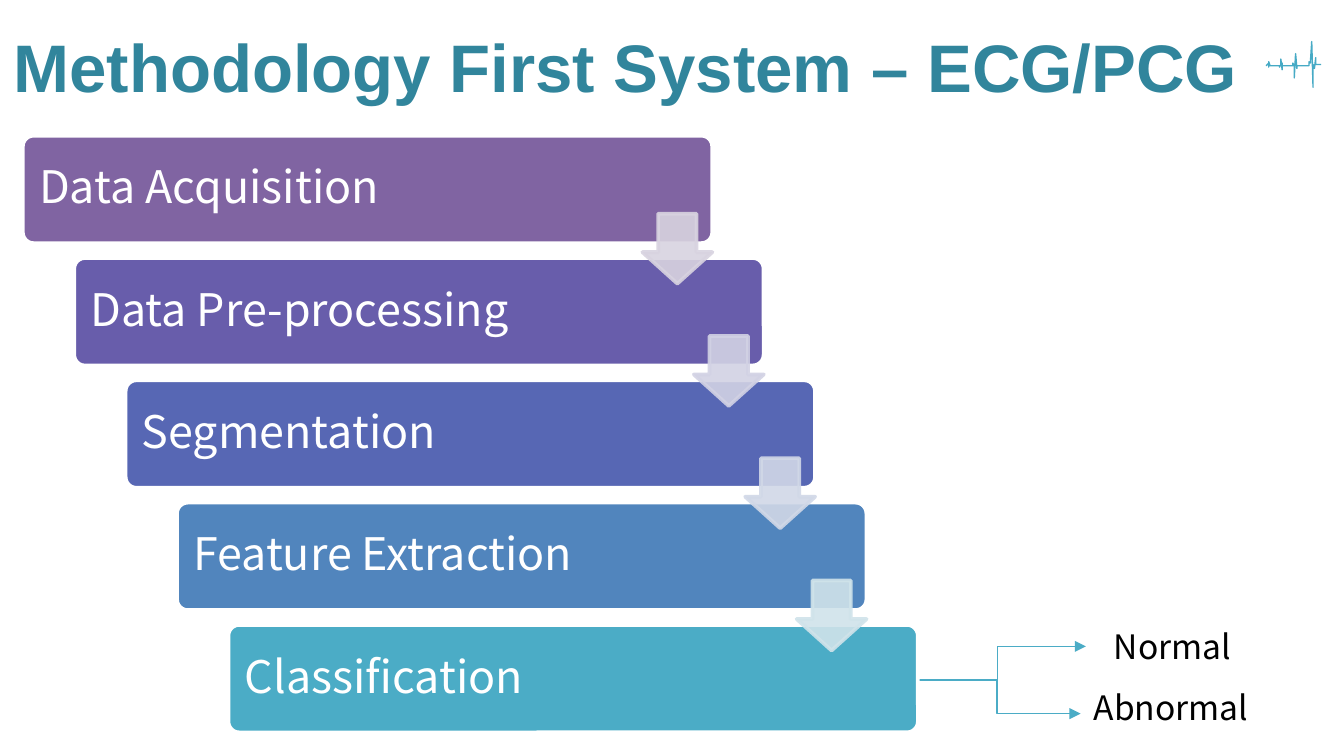
from lxml import etree
from pptx import Presentation
from pptx.dml.color import RGBColor
from pptx.enum.shapes import MSO_CONNECTOR, MSO_SHAPE
from pptx.enum.text import MSO_ANCHOR, MSO_AUTO_SIZE, PP_ALIGN
from pptx.oxml.ns import qn
from pptx.util import Inches, Pt

ELBOW = MSO_CONNECTOR.ELBOW
ROUND_BAR, DOWN_ARROW = MSO_SHAPE.ROUNDED_RECTANGLE, MSO_SHAPE.DOWN_ARROW
MIDDLE, TOP, LEFT = MSO_ANCHOR.MIDDLE, MSO_ANCHOR.TOP, PP_ALIGN.LEFT
NO_AUTOFIT = MSO_AUTO_SIZE.NONE
WHITE = RGBColor(0xFF, 0xFF, 0xFF)
BLACK = RGBColor(0, 0, 0)
TEAL = RGBColor(0x31, 0x85, 0x9C)
AQUA = RGBColor(0x4B, 0xAC, 0xC6)
PULSE = RGBColor(0x46, 0xAA, 0xC5)
BODY_FONT = "Noto Sans CJK KR"

TITLE = "Methodology First System – ECG/PCG"
# step, bar colour, colour of the arrow to the next step
STEPS = [
    ("Data Acquisition", RGBColor(0x80, 0x64, 0xA2), RGBColor(0xD8, 0xD3, 0xE0)),
    ("Data Pre-processing", RGBColor(0x68, 0x5D, 0xAB), RGBColor(0xD2, 0xD2, 0xE4)),
    ("Segmentation", RGBColor(0x57, 0x67, 0xB4), RGBColor(0xD1, 0xD8, 0xE7)),
    ("Feature Extraction", RGBColor(0x51, 0x85, 0xBD), RGBColor(0xD0, 0xE3, 0xEA)),
    ("Classification", AQUA, None),
]
# outcome, its box (left, top, width, height), tip of its connector
OUTCOMES = [
    ("Normal", (8.19, 4.61, 1.08, 0.4), (8.08, 4.81)),
    ("Abnormal", (8.04, 5.06, 1.37, 0.4), (8.04, 5.31)),
]
BRANCH_START, BRANCH_BEND = (6.75, 5.06), 7.42
# heartbeat trace, in hundredths of an inch
HEARTBEAT = [
    (942, 49), (943, 48), (944, 47), (944, 50), (944, 46), (945, 49),
    (952, 49), (952, 50), (953, 48), (953, 44), (954, 52), (954, 47), (954, 49),
    (962, 49), (962, 47), (963, 49), (963, 58), (964, 40), (965, 51), (965, 49),
    (974, 49), (974, 46), (975, 47), (976, 31), (977, 65), (977, 48), (978, 51),
    (979, 43), (979, 48), (983, 48),
]

SLIDE_WIDTH = 10
SLIDE_HEIGHT = SLIDE_WIDTH * 9 / 16
BAR_LEFT, BAR_TOP, BAR_WIDTH, BAR_HEIGHT = 0.17, 1.01, 5.13, 0.8
STEP_RIGHT, STEP_DOWN = (1.7 - BAR_LEFT) / 4, 0.91
ARROW_SIZE, ARROW_RIGHT, ARROW_DOWN = 0.52, 4.61, 0.58


def write(box, text, size, color, font=BODY_FONT, bold=False, anchor=TOP, spacing=1.0):
    frame = box.text_frame
    frame.word_wrap = True
    frame.auto_size = NO_AUTOFIT
    frame.vertical_anchor = anchor
    para = frame.paragraphs[0]
    para.alignment = LEFT
    para.line_spacing = spacing
    span = para.add_run()
    span.text = text
    span.font.name = font
    span.font.size = Pt(size)
    span.font.bold = bold
    span.font.color.rgb = color


def add_block(page, kind, place, fill, line, adjustments):
    block = page.shapes.add_shape(kind, *map(Inches, place))
    block.shadow.inherit = False
    for index, value in enumerate(adjustments):
        block.adjustments[index] = value
    block.fill.solid()
    block.fill.fore_color.rgb = fill
    block.line.color.rgb = line
    block.line.width = Pt(2)
    return block


def set_opacity(block, percent):
    for color in block._element.spPr.iter(qn("a:srgbClr")):
        etree.SubElement(color, qn("a:alpha")).set("val", str(percent * 1000))


def add_branch(page, tip):
    branch = page.shapes.add_connector(ELBOW, *map(Inches, BRANCH_START + tip))
    branch.line.color.rgb = AQUA
    branch.line.width = Pt(0.75)
    properties = branch._element.spPr
    etree.SubElement(properties.find(qn("a:ln")), qn("a:tailEnd")).set("type", "triangle")
    etree.SubElement(properties, qn("a:effectLst"))
    bend = (BRANCH_BEND - BRANCH_START[0]) / (tip[0] - BRANCH_START[0])
    guide = etree.SubElement(properties.find(qn("a:prstGeom")).find(qn("a:avLst")), qn("a:gd"))
    guide.set("name", "adj1")
    guide.set("fmla", f"val {round(bend * 100000)}")


def add_heartbeat(page):
    builder = page.shapes.build_freeform(*HEARTBEAT[0], scale=Inches(0.01))
    builder.add_line_segments(HEARTBEAT[1:], close=False)
    trace = builder.convert_to_shape()
    trace.shadow.inherit = False
    trace.fill.background()
    trace.line.color.rgb = PULSE
    trace.line.width = Pt(0.75)


def main():
    deck = Presentation()
    deck.slide_width, deck.slide_height = Inches(SLIDE_WIDTH), Inches(SLIDE_HEIGHT)
    page = deck.slides.add_slide(deck.slide_layouts[5])

    title = page.shapes.title
    title.left, title.top, title.width, title.height = map(Inches, (0, 0, SLIDE_WIDTH, 0.97))
    write(title, TITLE, 36, TEAL, font="Arial", bold=True, anchor=MIDDLE)
    add_heartbeat(page)

    for _, _, tip in OUTCOMES:
        add_branch(page, tip)

    corners = [(BAR_LEFT + i * STEP_RIGHT, BAR_TOP + i * STEP_DOWN)
               for i in range(len(STEPS))]
    for (left, top), (label, fill, _) in zip(corners, STEPS):
        bar = add_block(page, ROUND_BAR, (left, top, BAR_WIDTH, BAR_HEIGHT),
                        fill, WHITE, [0.1])
        write(bar, label, 24, WHITE, anchor=MIDDLE, spacing=0.9)
    for (left, top), (_, _, color) in zip(corners, STEPS):
        if color is not None:
            place = (left + ARROW_RIGHT, top + ARROW_DOWN, ARROW_SIZE, ARROW_SIZE)
            arrow = add_block(page, DOWN_ARROW, place, color, color, [0.55, 0.45])
            set_opacity(arrow, 90)

    for label, place, _ in OUTCOMES:
        box = page.shapes.add_textbox(*map(Inches, place))
        write(box, label, 18, BLACK)

    deck.save("out.pptx")


if __name__ == "__main__":
    main()
